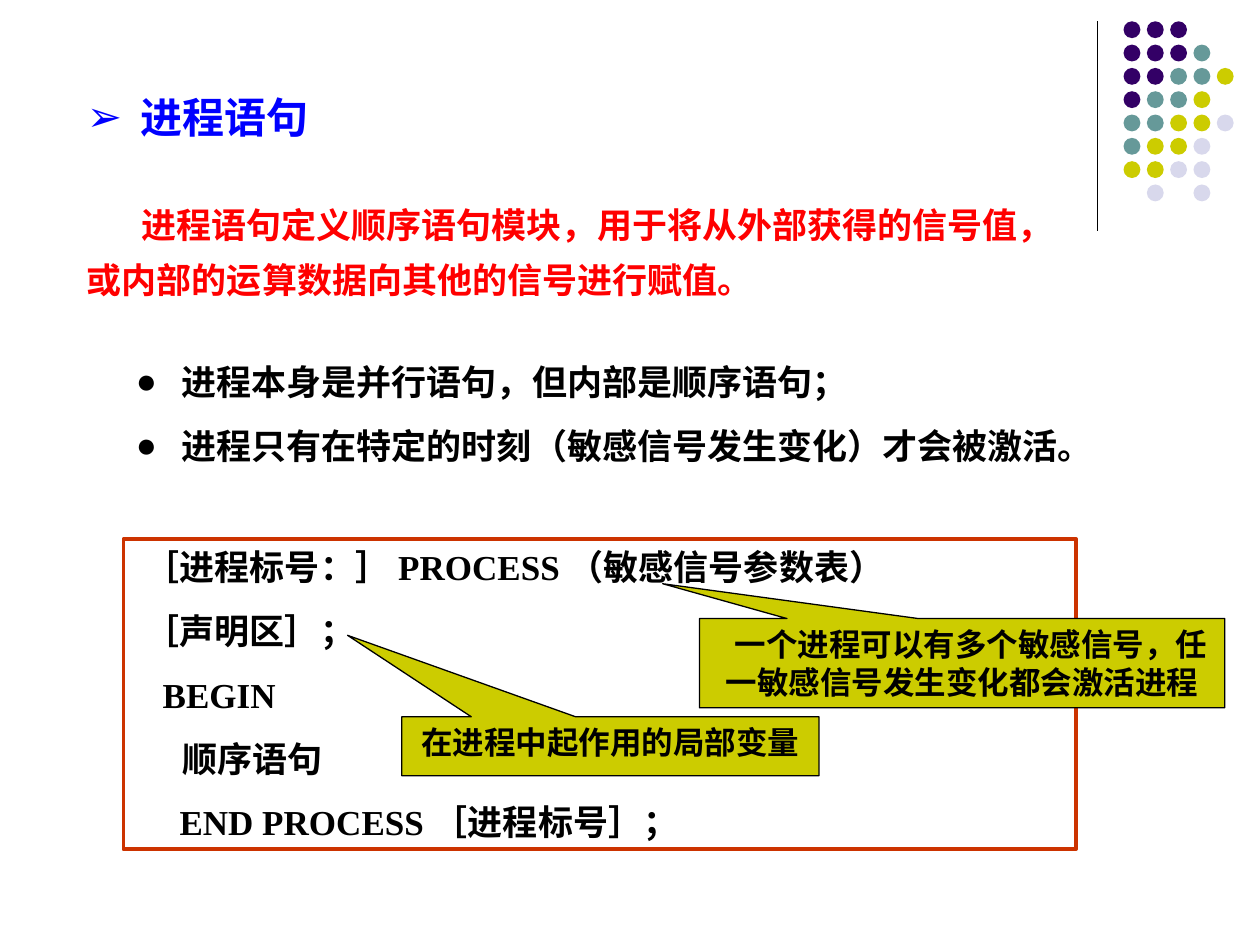
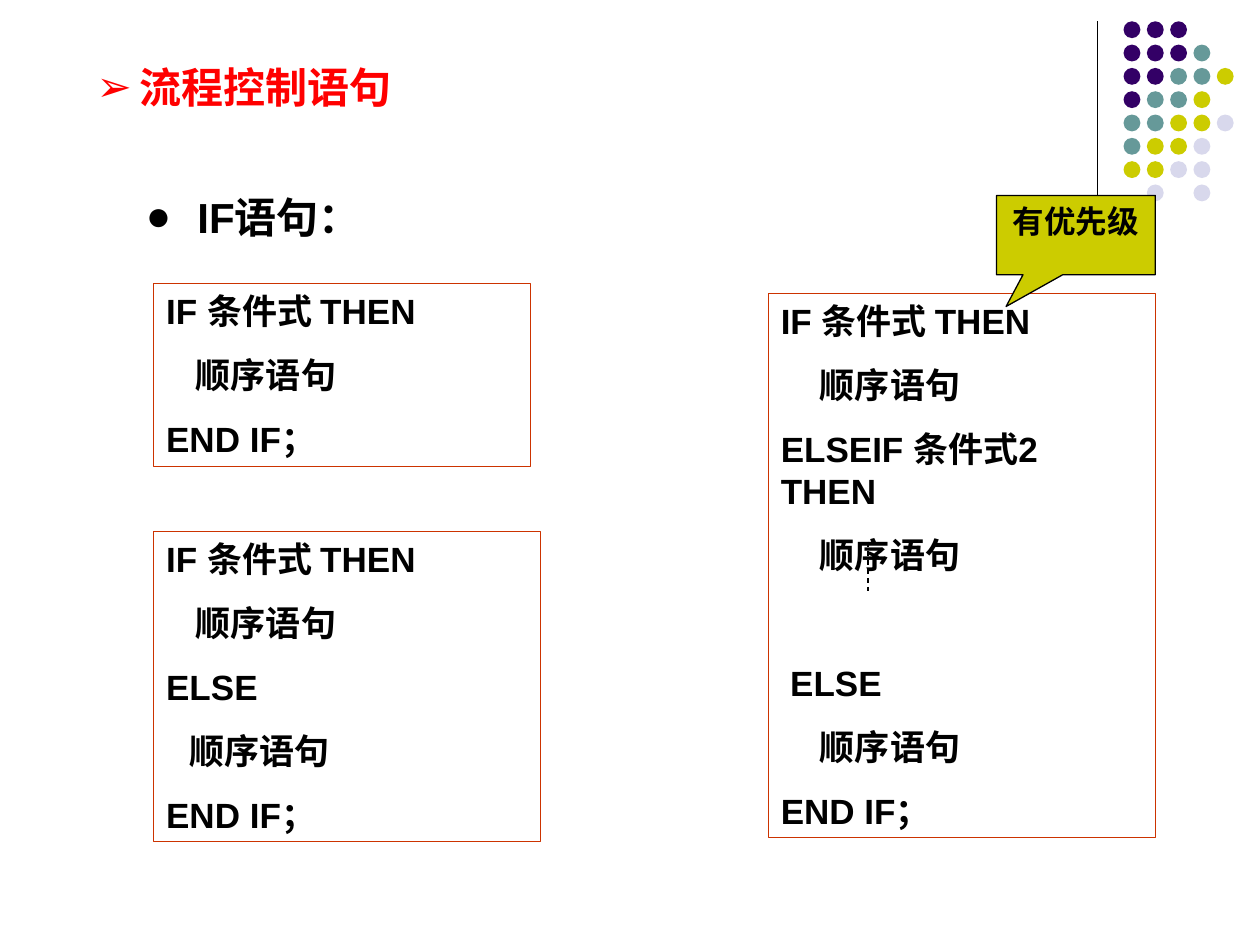
from dataclasses import dataclass

from lxml.etree import SubElement
from pptx import Presentation
from pptx.dml.color import RGBColor
from pptx.enum.dml import MSO_LINE
from pptx.enum.lang import MSO_LANGUAGE_ID
from pptx.enum.shapes import MSO_CONNECTOR, MSO_SHAPE
from pptx.enum.text import MSO_ANCHOR, PP_ALIGN
from pptx.oxml.ns import qn
from pptx.util import Cm, Pt


@dataclass(frozen=True)
class Theme:
    black: str = "000000"
    blue: str = "0000FF"
    red: str = "FF0000"
    frame: str = "CC3300"
    purple: str = "330066"
    teal: str = "669999"
    olive: str = "CCCC00"
    lilac: str = "D8D8EC"
    sans: str = "Arial"
    serif: str = "Times New Roman"
    heading_size: int = 24
    body_size: int = 20
    note_size: int = 18
    thin: float = 0.75
    thick: float = 2.25


# One letter per dot: purple, teal, olive, lilac
DOT_ROWS = ("PPP", "PPPT", "PPTTO", "PTTO", "TTOOL", "TOOL", "OOLL", " L L")


class Deck:
    def __init__(self, theme):
        self.theme = theme
        self.presentation = Presentation()
        self.presentation.slide_width = Cm(25.4)
        self.presentation.slide_height = Cm(19.05)
        self.slide = None

    def new_slide(self):
        self.slide = self.presentation.slides.add_slide(self.presentation.slide_layouts[6])
        self.line(22.12, 0.43, 4.22)
        self.dots()

    def line(self, x, top, length, dash=None):
        """Vertical line."""
        rule = self.slide.shapes.add_connector(
            MSO_CONNECTOR.STRAIGHT, Cm(x), Cm(top), Cm(x), Cm(top + length))
        self.outline(rule, self.theme.black, self.theme.thin)
        if dash:
            rule.line.dash_style = dash
        SubElement(rule._element.spPr, qn("a:effectLst"))

    def dots(self):
        theme = self.theme
        colours = {"P": theme.purple, "T": theme.teal, "O": theme.olive, "L": theme.lilac}
        pitch = 0.47
        for row, letters in enumerate(DOT_ROWS):
            for column, letter in enumerate(letters):
                if letter in colours:
                    self.shape(MSO_SHAPE.OVAL, (22.65 + column * pitch, 0.43 + row * pitch,
                                                0.34, 0.34), fill=colours[letter])

    def outline(self, item, colour, width):
        item.line.color.rgb = RGBColor.from_string(colour)
        item.line.width = Pt(width)

    def shape(self, preset, box, fill=None, line=None, width=None):
        item = self.slide.shapes.add_shape(preset, *map(Cm, box))
        item.shadow.inherit = False
        if fill:
            item.fill.solid()
            item.fill.fore_color.rgb = RGBColor.from_string(fill)
        else:
            item.fill.background()
        if line:
            self.outline(item, line, width)
        else:
            item.line.fill.background()
        return item

    def set_text(self, item, lines, size, colour=None, font=None, align=PP_ALIGN.LEFT, before=0):
        frame = item.text_frame
        frame.word_wrap = True
        frame.vertical_anchor = MSO_ANCHOR.TOP
        frame.text = "\n".join(lines)
        for paragraph in frame.paragraphs:
            paragraph.alignment = align
            paragraph.space_before = Pt(before)
            for run in paragraph.runs:
                run.font.name = font or self.theme.sans
                run.font.size = Pt(size)
                run.font.bold = True
                run.font.color.rgb = RGBColor.from_string(colour or self.theme.black)
                run.font.language_id = MSO_LANGUAGE_ID.SIMPLIFIED_CHINESE
        return frame.paragraphs

    def indent(self, paragraph, first, margin=0):
        properties = paragraph._p.get_or_add_pPr()
        properties.set("marL", str(Cm(margin)))
        properties.set("indent", str(Cm(first)))
        return properties

    def text(self, box, lines, size, colour=None, before=12.5):
        return self.set_text(self.slide.shapes.add_textbox(*map(Cm, box)), lines, size,
                             colour, before=before)

    def bullets(self, box, lines, mark, hang, size, colour=None, before=12.5):
        for paragraph in self.text(box, lines, size, colour, before):
            properties = self.indent(paragraph, -hang, hang)
            bullet_colour = SubElement(properties, qn("a:buClr"))
            SubElement(bullet_colour, qn("a:srgbClr")).set("val", colour or self.theme.black)
            SubElement(properties, qn("a:buFont")).set("typeface", self.theme.sans)
            SubElement(properties, qn("a:buChar")).set("char", mark)

    def heading(self, box, title, hang, colour):
        self.bullets(box, [title], "➢", hang, self.theme.heading_size, colour, before=15)

    def code(self, box, lines, font=None, width=None):
        """Framed code; lines are (indent in cm, text) pairs."""
        frame = self.shape(MSO_SHAPE.RECTANGLE, box, line=self.theme.frame,
                           width=width or self.theme.thin)
        paragraphs = self.set_text(frame, [line for _, line in lines], self.theme.body_size,
                                   font=font, before=12.5)
        for paragraph, (margin, _) in zip(paragraphs, lines):
            self.indent(paragraph, 0, margin)
        return paragraphs

    def callout(self, box, tip, note):
        balloon = self.shape(MSO_SHAPE.RECTANGULAR_CALLOUT, box, self.theme.olive,
                             self.theme.black, self.theme.thin)
        balloon.adjustments[0], balloon.adjustments[1] = tip
        return self.set_text(balloon, [note], self.theme.note_size, align=PP_ALIGN.CENTER)


def process_slide(deck):
    theme = deck.theme
    deck.new_slide()
    deck.heading((1.5, 1.73, 15.8, 1.27), "进程语句", 1.08, theme.blue)
    deck.bullets((2.49, 7.14, 20.19, 2.39),
                 ["进程本身是并行语句，但内部是顺序语句；",
                  "进程只有在特定的时刻（敏感信号发生变化）才会被激活。"],
                 "●", 0.92, theme.body_size)
    deck.code((2.49, 10.87, 19.2, 6.25),
              [(0.18, "［进程标号：］ PROCESS （敏感信号参数表）"),
               (0.18, "［声明区］；"),
               (0.54, "BEGIN"),
               (0.93, "顺序语句"),
               (0.88, "END PROCESS ［进程标号］；")],
              theme.serif, theme.thick)
    deck.callout((8.1, 14.45, 8.41, 1.19), (-0.63, -1.88), "在进程中起作用的局部变量")
    sensitivity = deck.callout((14.1, 12.47, 10.59, 1.8), (-0.57, -0.89),
                               "一个进程可以有多个敏感信号，任一敏感信号发生变化都会激活进程")
    deck.indent(sensitivity[0], 0.35)
    definition = deck.text((1.5, 3.73, 20.4, 2.46),
                           ["进程语句定义顺序语句模块，用于将从外部获得的信号值，"
                            "或内部的运算数据向其他的信号进行赋值。"],
                           theme.body_size, theme.red)[0]
    definition.line_spacing = 1.3
    deck.indent(definition, 1.1)


def flow_control_slide(deck):
    theme = deck.theme
    condition, body, end = "IF 条件式 THEN", "顺序语句", "END IF；"
    deck.new_slide()
    deck.heading((1.7, 1.12, 18.8, 1.27), "流程控制语句", 0.87, theme.red)
    deck.bullets((2.69, 3.73, 16.99, 1.27), ["IF语句："], "●", 1.04,
                 theme.heading_size, before=15)
    deck.code((3.1, 5.72, 7.59, 3.68), [(0, condition), (0.6, body), (0, end)])
    deck.code((3.1, 10.72, 7.8, 6.25),
              [(0, condition), (0.6, body), (0, "ELSE"), (0.47, body), (0, end)])
    branches = deck.code((15.49, 5.92, 7.8, 10.97),
                         [(0, condition), (0.79, body), (0, "ELSEIF 条件式2 THEN"),
                          (0.79, body), (0.19, "ELSE"), (0.79, body), (0, end)])
    branches[4].space_before = Pt(49)
    deck.line(17.5, 10.92, 1, MSO_LINE.DASH)
    deck.callout((20.09, 3.94, 3.2, 1.6), (-0.44, 0.9), "有优先级")


def main():
    deck = Deck(Theme())
    process_slide(deck)
    flow_control_slide(deck)
    deck.presentation.save("out.pptx")


if __name__ == "__main__":
    main()
